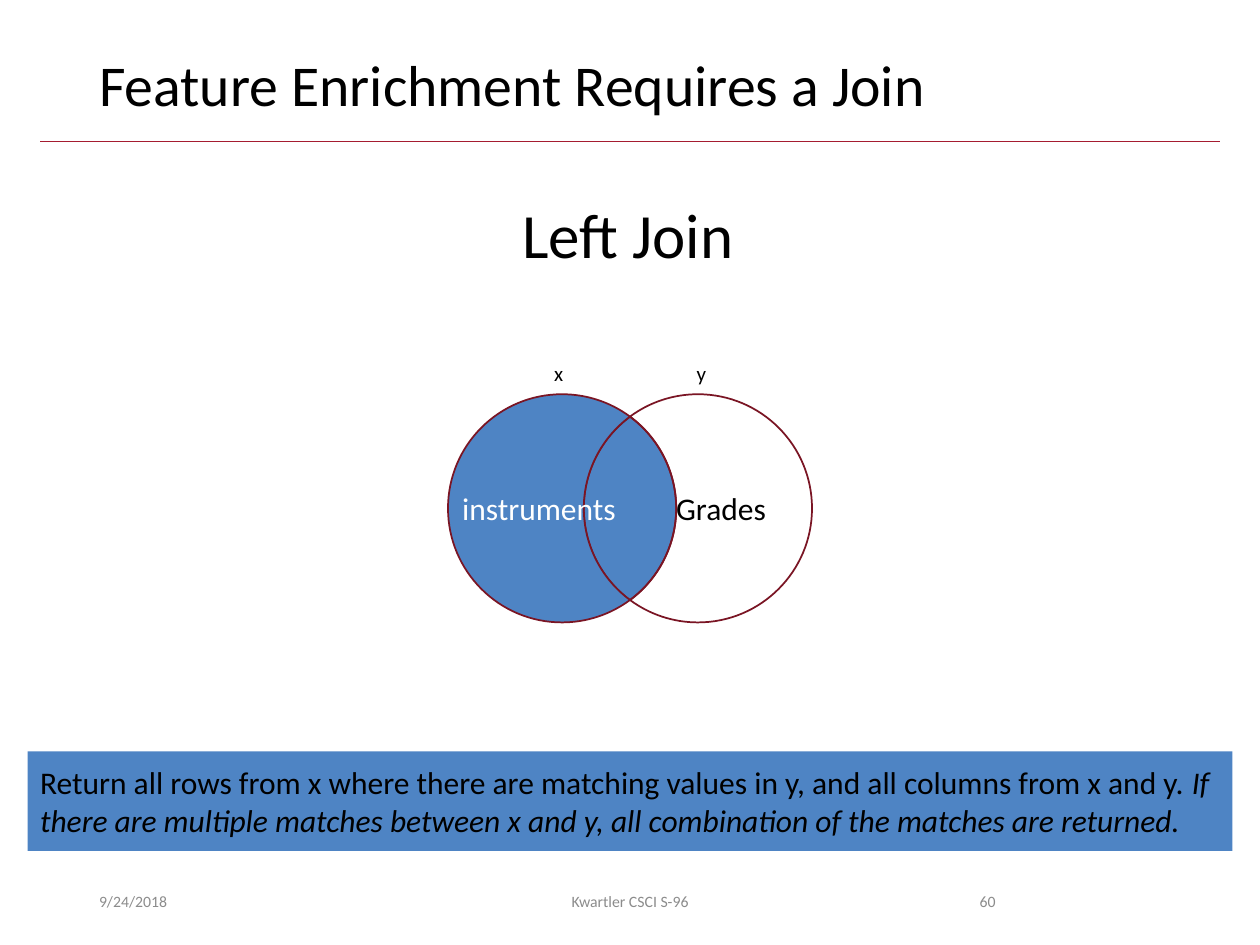
import math

import pptx
import pptx.dml.color
import pptx.enum.shapes
import pptx.enum.text
import pptx.oxml.ns
import pptx.util
from lxml import etree

Pt = pptx.util.Pt
RGBColor = pptx.dml.color.RGBColor
ALIGN = pptx.enum.text.PP_ALIGN
ANCHOR = pptx.enum.text.MSO_ANCHOR
qualified = pptx.oxml.ns.qn

BLACK = RGBColor(0x00, 0x00, 0x00)
WHITE = RGBColor(0xFF, 0xFF, 0xFF)
GREY = RGBColor(0x8C, 0x8C, 0x8C)
BLUE = RGBColor(0x4E, 0x84, 0xC4)
CRIMSON = RGBColor(0xA5, 0x1C, 0x30)
MAROON = RGBColor(0x7A, 0x15, 0x24)


def set_attributes(target, values):
    for name, value in values.items():
        setattr(target, name, value)


def place(shape, box):
    set_attributes(shape, dict(zip(("left", "top", "width", "height"), map(Pt, box))))


def write(shape, spans, size, color=BLACK, align=ALIGN.LEFT, **frame_format):
    """Fill the first paragraph with (text, italic) spans."""
    frame = shape.text_frame
    set_attributes(frame, {"word_wrap": True, "vertical_anchor": ANCHOR.MIDDLE, **frame_format})
    para = frame.paragraphs[0]
    para.alignment = align
    for text, italic in spans:
        span = para.add_run()
        span.text = text
        set_attributes(span.font, {"name": "Calibri", "size": Pt(size), "italic": italic})
        span.font.color.rgb = color
    return para


def add_label(shapes, box, text, size, **format_values):
    label = shapes.add_textbox(*map(Pt, box))
    write(label, [(text, None)], size, **format_values)


def add_header(page, box):
    left, top, width, height = box
    # Title
    title = page.shapes.title
    place(title, box)
    para = write(title, [("Feature Enrichment Requires a Join", None)], 33,
                 vertical_anchor=ANCHOR.TOP,
                 auto_size=pptx.enum.text.MSO_AUTO_SIZE.NONE)
    para.line_spacing = 0.9
    # Rule below the title, wider than the title on both sides
    rule_y = top + height + 5
    rule = page.shapes.add_connector(
        pptx.enum.shapes.MSO_CONNECTOR.STRAIGHT,
        Pt(left - 26.5), Pt(rule_y), Pt(left + width + 26.5), Pt(rule_y))
    rule.line.color.rgb = CRIMSON
    rule.line.width = Pt(0.5)
    etree.SubElement(rule.element.spPr, qualified("a:effectLst"))


def add_curved_outline(shapes, points):
    """Draw a closed outline of cubic curves: a start, then three points a curve."""
    builder = shapes.build_freeform(*points[0])
    builder.add_line_segments(points[1:], close=True)
    outline = builder.convert_to_shape()
    segments = list(outline.element.iter(qualified("a:lnTo")))[:len(points) - 1]
    for index in range(0, len(segments), 3):
        first, *others = segments[index:index + 3]
        first.tag = qualified("a:cubicBezTo")
        for segment in others:
            first.append(segment[0])
            segment.getparent().remove(segment)
    return outline


def add_venn(page, box):
    """Two overlapping circles, split into a lens and two crescents."""
    left, top, width, height = box
    radius = height / 2
    centre_y = top + radius
    left_x, right_x = left + radius, left + width - radius
    half = math.acos((right_x - left_x) / 2 / radius)
    turn = math.pi
    shapes = page.shapes.add_group_shape().shapes

    def arc(centre_x, start, end):
        """Curve points of an arc, cut at the quarter turns."""
        low, high = sorted((start, end))
        quarters = [step * turn / 2 for step in range(-1, 7) if low < step * turn / 2 < high]
        cuts = sorted([low, *quarters, high], reverse=start > end)

        def spot(angle, tangent=0):
            x = math.cos(angle) - tangent * math.sin(angle)
            y = math.sin(angle) + tangent * math.cos(angle)
            return Pt(centre_x + radius * x), Pt(centre_y + radius * y)

        points = [spot(start)]
        for begin, finish in zip(cuts, cuts[1:]):
            reach = 4 / 3 * math.tan((finish - begin) / 4)
            points += [spot(begin, reach), spot(finish, -reach), spot(finish)]
        return points

    lens = arc(left_x, -half, half) + arc(right_x, turn - half, turn + half)[1:]
    left_crescent = (arc(left_x, half, 2 * turn - half)
                     + arc(right_x, turn + half, turn - half)[1:])
    right_crescent = (arc(right_x, turn + half, 3 * turn - half)
                      + arc(left_x, half, -half)[1:])

    # Regions: outline, fill, label, label colour
    for points, fill, text, color in (
            (lens, BLUE, None, None),
            (left_crescent, BLUE, "instruments", WHITE),
            (right_crescent, None, "Grades", BLACK)):
        region = add_curved_outline(shapes, points)
        region.shadow.inherit = False
        if fill is None:
            region.fill.background()
        else:
            region.fill.solid()
            region.fill.fore_color.rgb = fill
        region.line.color.rgb = MAROON
        region.line.width = Pt(1)
        if text:
            write(region, [(text, None)], 18, color, ALIGN.CENTER,
                  margin_left=0, margin_right=0)

    # Set names above the circles
    for name, name_left in (("y", 391), ("x", 309.6)):
        add_label(shapes, (name_left, top - 23, 20, 21.8), name, 12,
                  word_wrap=False, vertical_anchor=ANCHOR.TOP)


def add_callout(page, box):
    callout = page.shapes.add_shape(pptx.enum.shapes.MSO_SHAPE.RECTANGLE, *map(Pt, box))
    callout.shadow.inherit = False
    callout.fill.solid()
    callout.fill.fore_color.rgb = BLUE
    callout.line.fill.background()
    write(callout, [
        ("Return all rows from x where there are matching values in y, "
         "and all columns from x and y. ", None),
        ("If there are multiple matches between x and y, "
         "all combination of the matches are returned.", True)], 18)


def add_footer(page, box):
    left, top, width, height = box
    for text, offset, part_width, align in (
            ("9/24/2018", 0, 162, ALIGN.LEFT),
            ("Kwartler CSCI S-96", 189, 243, ALIGN.CENTER),
            ("60", 459, 67.5, ALIGN.RIGHT)):
        add_label(page.shapes, (left + offset, top, part_width, height), text, 9,
                  color=GREY, align=align)


def main():
    deck = pptx.Presentation()
    deck.slide_width, deck.slide_height = Pt(720), Pt(540)
    page = deck.slides.add_slide(deck.slide_layouts[5])
    add_header(page, (49.5, 28.75, 621, 47))
    add_callout(page, (15.8, 429.4, 688.4, 56.9))
    add_venn(page, (256, 225.3, 208, 130.4))
    add_label(page.shapes, (291.4, 108, 137.5, 50.9), "Left Join", 36, word_wrap=False)
    add_footer(page, (49.5, 500.5, 621, 28.75))
    deck.save("out.pptx")


if __name__ == "__main__":
    main()
